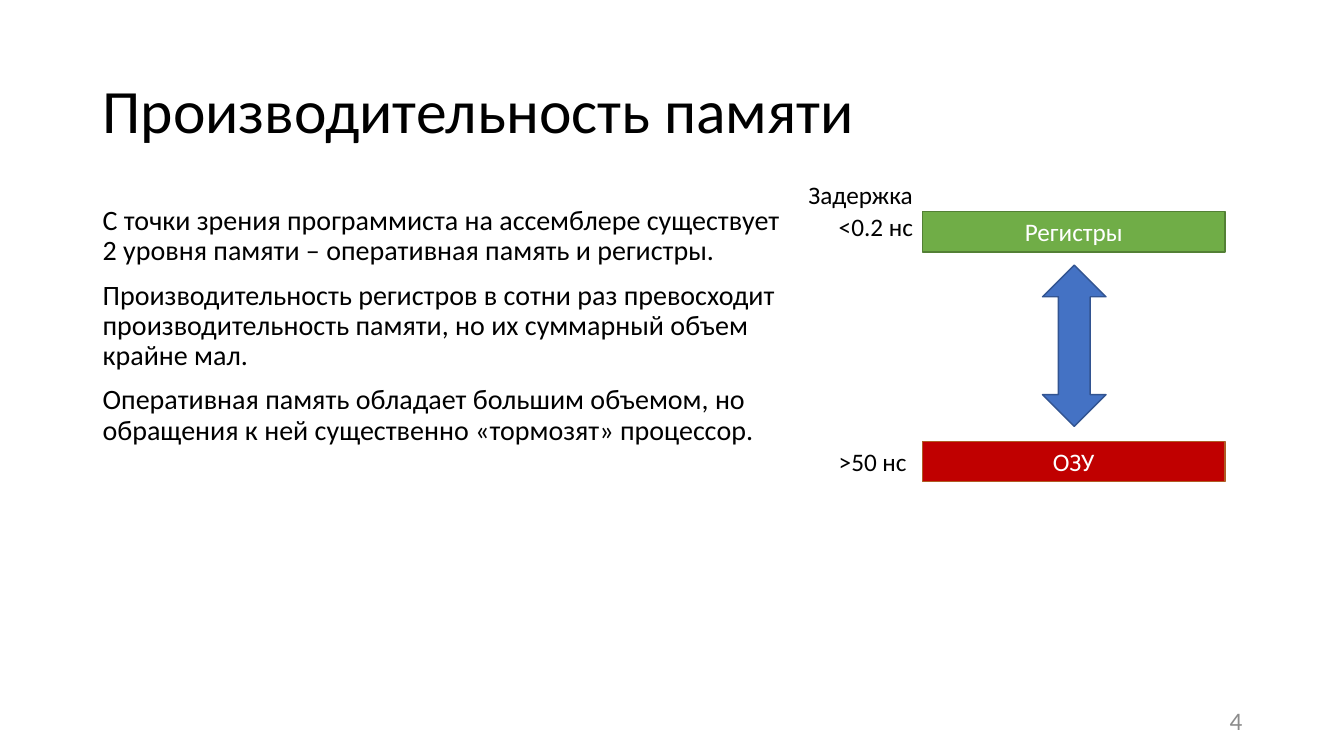
from pptx import Presentation
from pptx.dml.color import RGBColor
from pptx.enum.shapes import MSO_SHAPE
from pptx.enum.text import MSO_ANCHOR, MSO_AUTO_SIZE, PP_ALIGN
from pptx.util import Inches, Pt

BLACK = RGBColor(0x00, 0x00, 0x00)
WHITE = RGBColor(0xFF, 0xFF, 0xFF)
GRAY = RGBColor(0x8C, 0x8C, 0x8C)
GREEN = RGBColor(0x70, 0xAD, 0x47)
MOSS = RGBColor(0x53, 0x80, 0x35)
RED = RGBColor(0xC0, 0x00, 0x00)
RUST = RGBColor(0xAF, 0x5C, 0x24)
BLUE = RGBColor(0x44, 0x72, 0xC4)
NAVY = RGBColor(0x32, 0x54, 0x91)

BODY = (
    "С точки зрения программиста на ассемблере существует 2 уровня памяти – оперативная память и регистры.",
    "Производительность регистров в сотни раз превосходит производительность памяти, но их суммарный объем крайне мал.",
    "Оперативная память обладает большим объемом, но обращения к ней существенно «тормозят» процессор.",
)
LEVELS = (
    ("Регистры", 2.1, GREEN, MOSS),
    ("ОЗУ", 4.38, RED, RUST),
)
LABELS = (
    ("<0.2 нс", 8.22, 2.05, 0.95),
    (">50 нс", 8.22, 4.38, 0.88),
    ("Задержка", 7.92, 1.73, 1.25),
)


def write(frame, *lines, size=18, color=BLACK, align=PP_ALIGN.LEFT,
          anchor=MSO_ANCHOR.TOP, lead=1.0, gap=0, wrap=True):
    frame.word_wrap = wrap
    frame.vertical_anchor = anchor
    for num, line in enumerate(lines):
        para = frame.add_paragraph() if num else frame.paragraphs[0]
        para.text = line
        para.alignment = align
        para.line_spacing = lead
        para.space_before = Pt(gap if num else 0)
        para.font.name = "Calibri"
        para.font.size = Pt(size)
        para.font.color.rgb = color


def add_text(slide, box, *lines, **style):
    frame = slide.shapes.add_textbox(*map(Inches, box)).text_frame
    write(frame, *lines, **style)
    return frame


def add_shape(slide, kind, box, fill, edge):
    shape = slide.shapes.add_shape(kind, *map(Inches, box))
    shape.shadow.inherit = False
    shape.fill.solid()
    shape.fill.fore_color.rgb = fill
    shape.line.color.rgb = edge
    shape.line.width = Pt(1)
    return shape


def add_level(slide, name, top, fill, edge):
    shape = add_shape(slide, MSO_SHAPE.RECTANGLE, (9.15, top, 3, 0.4), fill, edge)
    write(shape.text_frame, name, color=WHITE, align=PP_ALIGN.CENTER,
          anchor=MSO_ANCHOR.MIDDLE)


def add_label(slide, text, left, top, width):
    frame = add_text(slide, (left, top, width, 0.4), text, wrap=False)
    frame.auto_size = MSO_AUTO_SIZE.SHAPE_TO_FIT_TEXT


def main():
    deck = Presentation()
    deck.slide_width = Inches(13.33)
    deck.slide_height = Inches(7.5)
    slide = deck.slides.add_slide(deck.slide_layouts[6])
    add_text(slide, (0.92, 0.4, 11.5, 1.45), "Производительность памяти",
             size=44, anchor=MSO_ANCHOR.MIDDLE, lead=0.9)
    add_text(slide, (0.92, 2, 7, 4.76), *BODY, size=20, lead=0.9, gap=10)
    add_text(slide, (9.42, 6.95, 3, 0.4), "4", color=GRAY,
             align=PP_ALIGN.RIGHT, anchor=MSO_ANCHOR.MIDDLE)
    for level in LEVELS:
        add_level(slide, *level)
    add_shape(slide, MSO_SHAPE.UP_DOWN_ARROW, (10.34, 2.63, 0.63, 1.6), BLUE, NAVY)
    for label in LABELS:
        add_label(slide, *label)
    deck.save("out.pptx")


if __name__ == "__main__":
    main()
